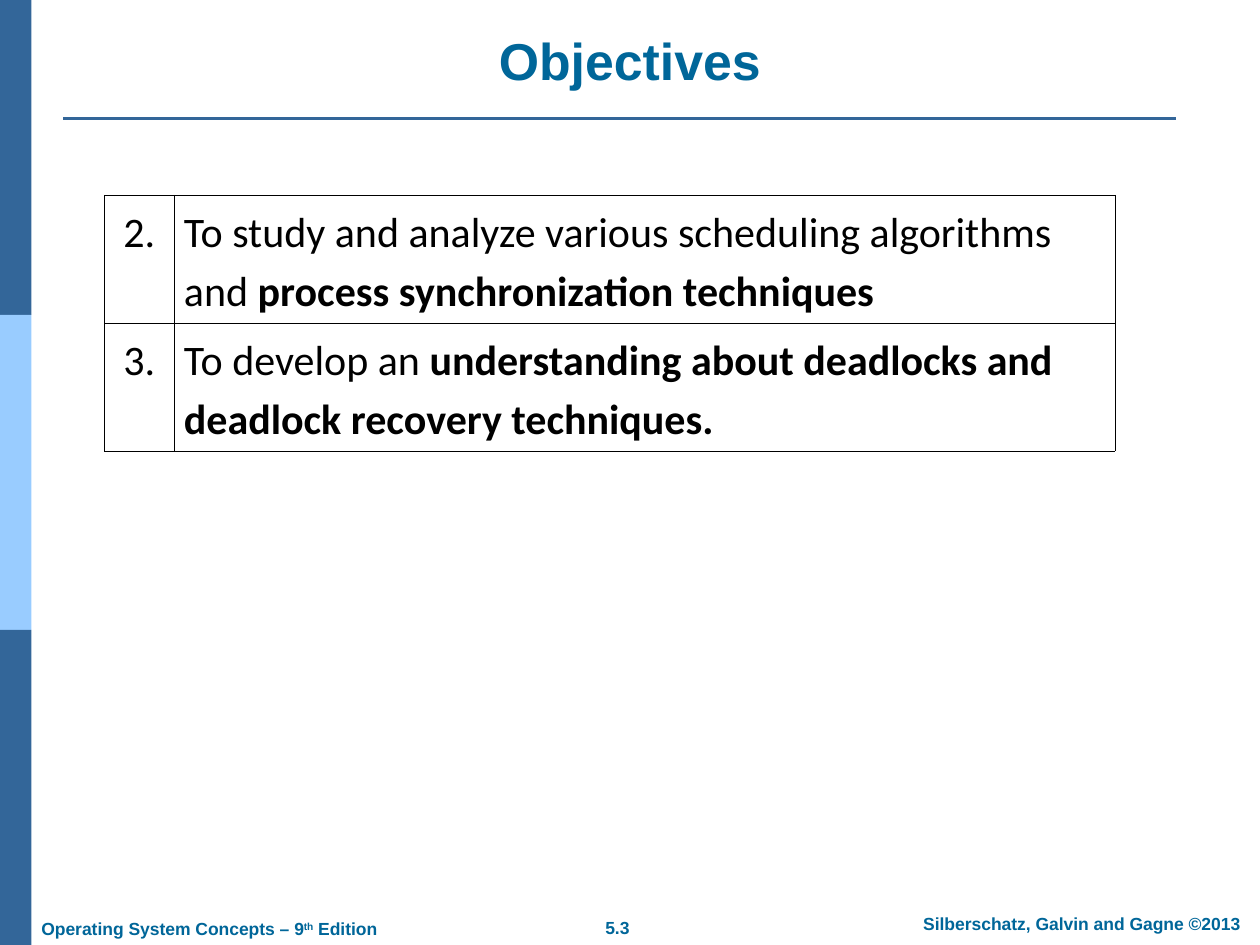
from dataclasses import dataclass

from lxml import etree
from pptx import Presentation
from pptx import util as u
from pptx.dml.color import RGBColor
from pptx.enum import shapes, text
from pptx.oxml import ns

Inches, Pt = u.Inches, u.Pt
ALIGN, ANCHOR = text.PP_ALIGN, text.MSO_ANCHOR


@dataclass(frozen=True)
class Theme:
    bar: str = "336699"
    bar_light: str = "99CCFF"
    heading: str = "006699"
    ink: str = "000000"
    head_font: str = "Arial"
    body_font: str = "Calibri"
    title_size: float = 29.6
    body_size: float = 24
    footer_size: float = 10
    rule_width: float = 1.5
    border_width: float = 0.45


T = Theme()


def write(tf, runs, size, font, color, align=ALIGN.LEFT, spacing=None,
          bold=False):
    """Fill a text frame with (text, style) runs; style is "", "bold" or "super"."""
    p = tf.paragraphs[0]
    p.alignment = align
    if spacing:
        p.line_spacing = spacing
    for words, style in runs:
        r = p.add_run()
        r.text = words
        r.font.size, r.font.name = Pt(size), font
        r.font.bold = bold or style == "bold"
        r.font.color.rgb = RGBColor.from_string(color)
        if style == "super":
            r.font._element.set("baseline", "30000")


def add_side_bar(s, left, top, width, height):
    """Three equal blocks stacked down the left edge."""
    colors = (T.bar, T.bar_light, T.bar)
    step = height / len(colors)
    for i, color in enumerate(colors):
        sp = s.shapes.add_shape(shapes.MSO_SHAPE.RECTANGLE, Inches(left),
                                Inches(top + i * step), Inches(width), Inches(step))
        sp.shadow.inherit = False
        sp.fill.solid()
        sp.fill.fore_color.rgb = RGBColor.from_string(color)
        sp.line.fill.background()


def add_title(s, left, top, width, height):
    sp = s.shapes.title
    sp.left, sp.top = Inches(left), Inches(top)
    sp.width, sp.height = Inches(width), Inches(height)
    tf = sp.text_frame
    tf.vertical_anchor = ANCHOR.BOTTOM
    tf.auto_size = text.MSO_AUTO_SIZE.NONE
    write(tf, [("Objectives", "")], T.title_size, T.head_font, T.heading,
          align=ALIGN.CENTER, spacing=0.9, bold=True)


def add_title_rule(s, left, top, width):
    line = s.shapes.add_connector(shapes.MSO_CONNECTOR.STRAIGHT, Inches(left),
                                  Inches(top), Inches(left + width), Inches(top))
    line.line.color.rgb = RGBColor.from_string(T.bar)
    line.line.width = Pt(T.rule_width)
    etree.SubElement(line._element.spPr, ns.qn("a:effectLst"))


def add_border(cell):
    """Draw a thin line on all four sides of a cell."""
    tcPr = cell._tc.get_or_add_tcPr()
    for side in ("a:lnL", "a:lnR", "a:lnT", "a:lnB"):
        ln = etree.SubElement(tcPr, ns.qn(side), w=str(Pt(T.border_width)))
        fill = etree.SubElement(ln, ns.qn("a:solidFill"))
        etree.SubElement(fill, ns.qn("a:srgbClr"), val=T.ink)


def add_objectives(s, left, top, width, height):
    objectives = [
        ("2.", [("To study and analyze various scheduling algorithms and ", ""),
                ("process synchronization techniques", "bold")]),
        ("3.", [("To develop an ", ""),
                ("understanding about deadlocks and deadlock recovery techniques.",
                 "bold")]),
    ]
    number_width = 0.55
    table = s.shapes.add_table(len(objectives), 2, Inches(left), Inches(top),
                               Inches(width), Inches(height)).table
    table.first_row = table.horz_banding = False
    table.columns[0].width = Inches(number_width)
    table.columns[1].width = Inches(width - number_width)
    for i, (number, runs) in enumerate(objectives):
        columns = (([(number, "")], ALIGN.CENTER, ANCHOR.TOP),
                   (runs, ALIGN.LEFT, ANCHOR.MIDDLE))
        for j, (content, align, anchor) in enumerate(columns):
            cell = table.cell(i, j)
            add_border(cell)
            cell.fill.background()
            cell.vertical_anchor = anchor
            cell.margin_left = cell.margin_right = Inches(0.08)
            cell.margin_top = cell.margin_bottom = Inches(0.04)
            write(cell.text_frame, content, T.body_size, T.body_font, T.ink,
                  align=align, spacing=1.15)


def add_footer(s, left, top, width, runs, align):
    tf = s.shapes.add_textbox(Inches(left), Inches(top), Inches(width),
                              Inches(0.27)).text_frame
    tf.word_wrap = True
    tf.auto_size = text.MSO_AUTO_SIZE.SHAPE_TO_FIT_TEXT
    write(tf, runs, T.footer_size, T.head_font, T.heading, align=align, bold=True)


def main():
    prs = Presentation()
    prs.slide_width, prs.slide_height = Inches(10), Inches(7.5)
    s = prs.slides.add_slide(prs.slide_layouts.get_by_name("Title Only"))

    # Frame and heading
    add_side_bar(s, 0, 0, 0.25, 7.5)
    add_title_rule(s, 0.5, 0.94, 8.83)
    add_title(s, 0.5, 0.15, 9, 0.63)

    # Numbered objectives
    add_objectives(s, 0.83, 1.55, 8.02, 1.84)

    # Footer: book, page, copyright
    add_footer(s, 0.23, 7.24, 3,
               [("Operating System Concepts – 9", ""), ("th", "super"),
                (" Edition", "")], ALIGN.LEFT)
    add_footer(s, 4.41, 7.23, 0.98, [("5.3", "")], ALIGN.CENTER)
    add_footer(s, 7.1, 7.2, 2.97, [("Silberschatz, Galvin and Gagne ©2013", "")],
               ALIGN.CENTER)

    prs.save("out.pptx")


if __name__ == "__main__":
    main()
